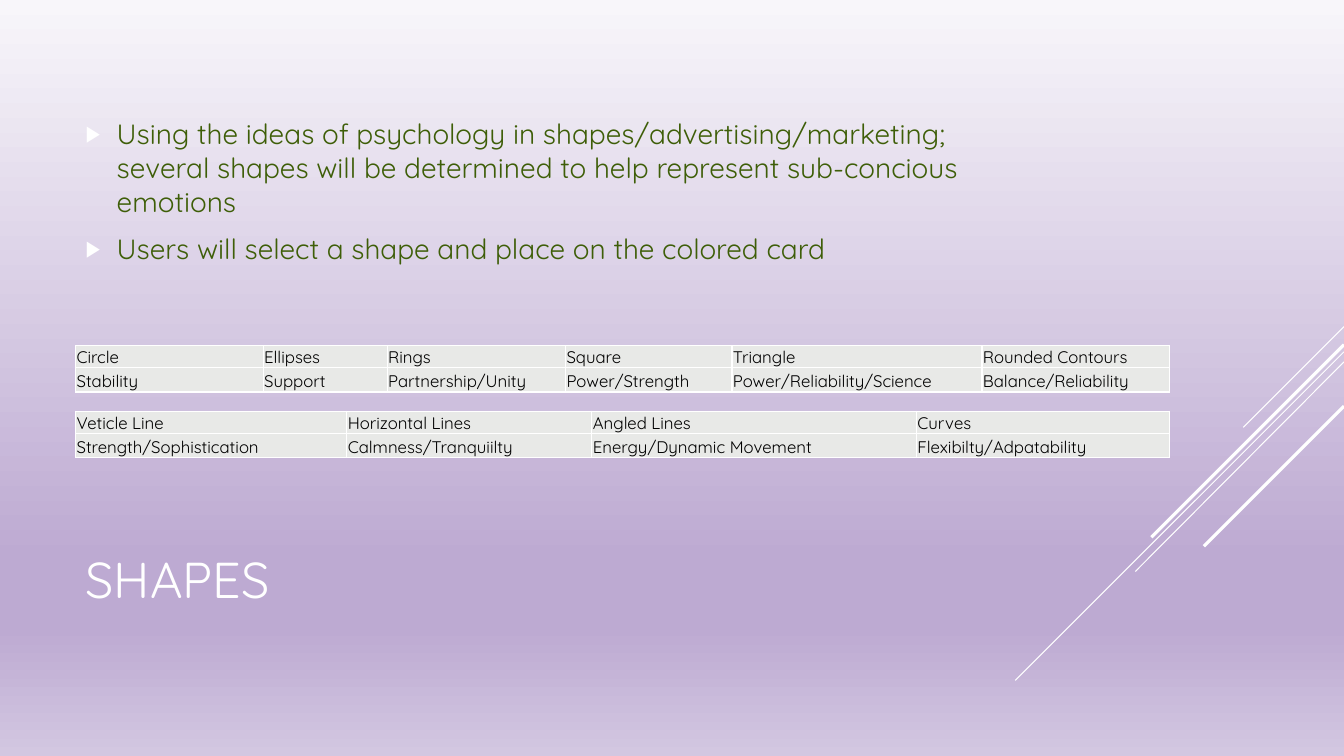
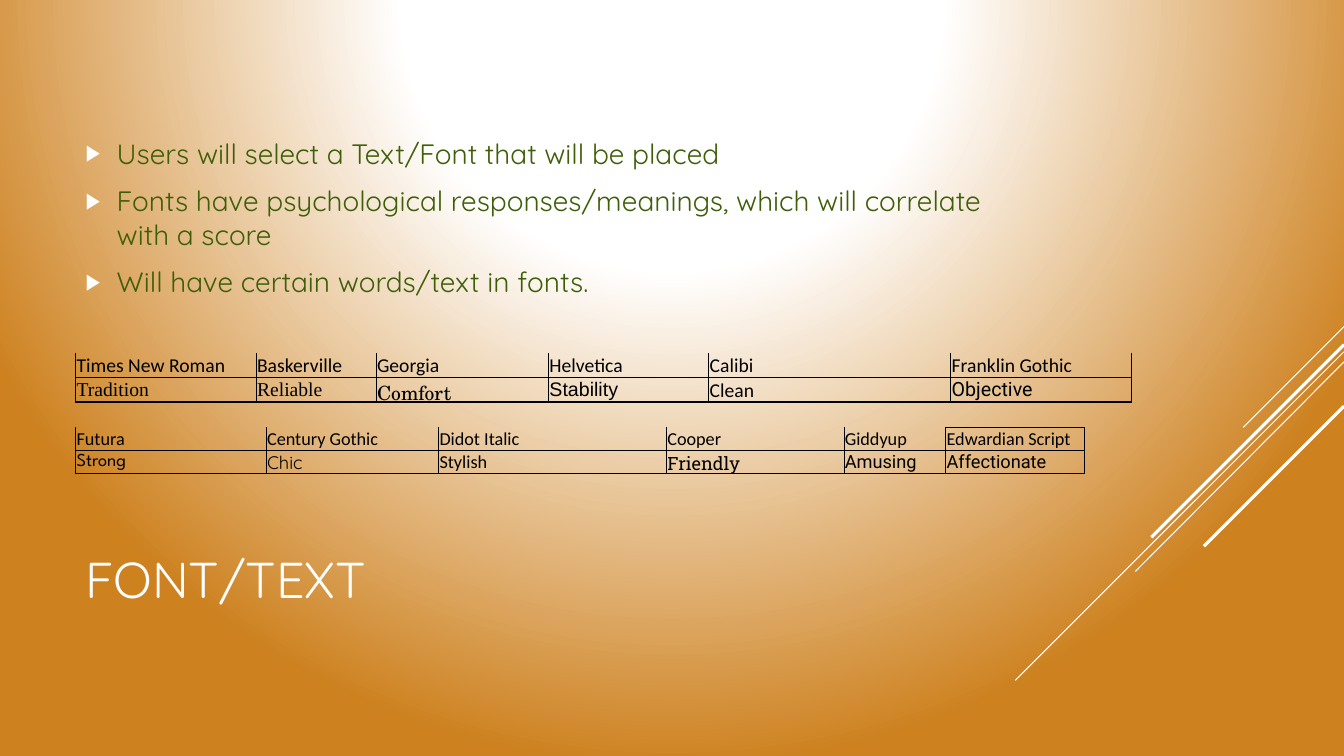
from pptx import Presentation
from pptx.dml.color import RGBColor
from pptx.enum.shapes import MSO_CONNECTOR
from pptx.enum.text import MSO_ANCHOR
from pptx.oxml import parse_xml
from pptx.oxml.ns import nsdecls
from pptx.util import Inches, Pt
from lxml.etree import SubElement

WHITE = RGBColor(0xFF, 0xFF, 0xFF)
BLACK = RGBColor(0x00, 0x00, 0x00)
GREEN = RGBColor(0x3E, 0x5E, 0x08)
CELL_GREY = RGBColor(0xE8, 0xE9, 0xE7)
PALE_LILAC = RGBColor(0xF8, 0xF6, 0xFA)
LILAC = RGBColor(0xBD, 0xAA, 0xD2)
SOFT_LILAC = RGBColor(0xD3, 0xC7, 0xE1)
ORANGE = RGBColor(0xCD, 0x81, 0x1F)

MAIN_FONT = "Quicksand"
LEFT = 0.75
TEXT_WIDTH = 9.33
SLIDE_WIDTH = 13.33
NO_TABLE_STYLE = "{2D5ABB26-0587-4C30-8999-92F81FD0307C}"

# Diagonal lines from the right edge: start y, end x, end y, width in points
DIAGONALS = [
    (3.24, 12.33, 4.24, 0.75),
    (3.49, 10.07, 6.75, 0.75),
    (3.59, 11.26, 5.67, 0.75),
    (3.42, 11.42, 5.33, 2.25),
    (4.03, 11.94, 5.42, 2.25),
]

BULLET_XML = [
    f'<a:buClr {nsdecls("a")}><a:srgbClr val="{WHITE}"/></a:buClr>',
    f'<a:buSzPct {nsdecls("a")} val="80000"/>',
    f'<a:buFont {nsdecls("a")} typeface="Arial"/>',
    f'<a:buChar {nsdecls("a")} char="\u25b6"/>',
]

# Column edges are line widths from left to right; 0 means no line
SLIDES = [
    {
        "title": "SHAPES",
        "stops": [(0, PALE_LILAC), (74, LILAC), (83, LILAC), (100, SOFT_LILAC)],
        "direction": '<a:lin ang="5400000" scaled="0"/>',
        "body_top": 0.72,
        "body_height": 2.35,
        "bullets": [
            "Using the ideas of psychology in shapes/advertising/marketing; "
            "several shapes will be determined to help represent sub-concious emotions",
            "Users will select a shape and place on the colored card",
        ],
        "fill": CELL_GREY,
        "border": WHITE,
        "middle_edge": 1,
        "anchors": [MSO_ANCHOR.BOTTOM, MSO_ANCHOR.BOTTOM],
        "row_heights": [0.22, 0.24],
        "tables": [
            {
                "top": 4.08,
                "columns": [2.69, 2.43, 3.22, 2.51],
                "rows": [
                    ["Veticle Line", "Horizontal Lines", "Angled Lines", "Curves"],
                    ["Strength/Sophistication", "Calmness/Tranquiilty",
                     "Energy/Dynamic Movement", "Flexibilty/Adpatability"],
                ],
                "size": 12,
                "fonts": [[MAIN_FONT] * 4] * 2,
                "column_edges": [1] * 5,
                "top_edges": [1] * 4,
            },
            {
                "top": 3.43,
                "columns": [1.86, 1.23, 1.77, 1.65, 2.48, 1.86],
                "rows": [
                    ["Circle", "Ellipses", "Rings", "Square", "Triangle",
                     "Rounded Contours"],
                    ["Stability", "Support", "Partnership/Unity", "Power/Strength",
                     "Power/Reliability/Science", "Balance/Reliability"],
                ],
                "size": 12,
                "fonts": [[MAIN_FONT] * 6] * 2,
                "column_edges": [1] * 7,
                "top_edges": [1] * 6,
            },
        ],
    },
    {
        "title": "FONT/TEXT",
        "stops": [(0, WHITE), (35, WHITE), (100, ORANGE)],
        "direction": '<a:path path="circle"><a:fillToRect l="50000" t="-80000" '
                     'r="50000" b="180000"/></a:path>',
        "body_top": 0.18,
        "body_height": 3.95,
        "bullets": [
            "Users will select a Text/Font that will be placed",
            "Fonts have psychological responses/meanings, which will correlate "
            "with a score",
            "Will have certain words/text in fonts.",
        ],
        "fill": None,
        "border": BLACK,
        "middle_edge": 0.5,
        "anchors": [MSO_ANCHOR.BOTTOM, MSO_ANCHOR.MIDDLE],
        "row_heights": [0.22, 0.22],
        "tables": [
            {
                "top": 3.5,
                "columns": [1.79, 1.19, 1.71, 1.59, 2.4, 1.79],
                "rows": [
                    ["Times New Roman", "Baskerville", "Georgia", "Helvetica",
                     "Calibi", "Franklin Gothic"],
                    ["Tradition", "Reliable", "Comfort", "Stability", "Clean",
                     "Objective"],
                ],
                "size": 14,
                "fonts": [
                    ["Calibri"] * 6,
                    ["Times New Roman", "Times New Roman", "TeX Gyre Schola",
                     "Arial", "Calibri", "Roboto"],
                ],
                "column_edges": [1, 0.5, 0.5, 1, 0.5, 0.5, 1],
                "top_edges": [0] * 6,
            },
            {
                "top": 4.24,
                "columns": [1.89, 1.71, 2.26, 1.76, 1.01, 1.38],
                "rows": [
                    ["Futura", "Century Gothic", "Didot Italic", "Cooper",
                     "Giddyup", "Edwardian Script"],
                    ["Strong", "Chic", "Stylish", "Friendly", "Amusing",
                     "Affectionate"],
                ],
                "size": 13,
                "fonts": [
                    ["Calibri"] * 6,
                    ["League Spartan", MAIN_FONT, "Calibri", "Roboto Slab",
                     "Roboto", "Roboto"],
                ],
                "column_edges": [1, 0.5, 0.5, 1, 0.5, 1, 0.5],
                "top_edges": [0] * 5 + [1],
            },
        ],
    },
]


def add_text(slide, top, height, lines, size, color):
    """Add a vertically centred text box and return its paragraphs."""
    box = slide.shapes.add_textbox(
        Inches(LEFT), Inches(top), Inches(TEXT_WIDTH), Inches(height))
    frame = box.text_frame
    frame.word_wrap = True
    frame.vertical_anchor = MSO_ANCHOR.MIDDLE
    frame.text = "\n".join(lines)
    for paragraph in frame.paragraphs:
        font = paragraph.runs[0].font
        font.name, font.size, font.color.rgb = MAIN_FONT, Pt(size), color
    return frame.paragraphs


def set_borders(cell, widths, color):
    """Draw the left, right, top and bottom borders of a cell."""
    properties = cell._tc.get_or_add_tcPr()
    for index, (side, width) in enumerate(zip("LRTB", widths)):
        paint = (f'<a:solidFill><a:srgbClr val="{color}"/></a:solidFill>'
                 if width else "<a:noFill/>")
        properties.insert(index, parse_xml(
            f'<a:ln{side} {nsdecls("a")} w="{Pt(width)}">{paint}</a:ln{side}>'))


presentation = Presentation()
presentation.slide_width = Inches(SLIDE_WIDTH)
presentation.slide_height = Inches(7.5)

for content in SLIDES:
    slide = presentation.slides.add_slide(presentation.slide_layouts[6])

    stops = "".join(
        f'<a:gs pos="{position * 1000}"><a:srgbClr val="{color}"/></a:gs>'
        for position, color in content["stops"])
    slide.element.cSld.insert(0, parse_xml(
        f'<p:bg {nsdecls("p", "a")}><p:bgPr><a:gradFill rotWithShape="1">'
        f'<a:gsLst>{stops}</a:gsLst>{content["direction"]}</a:gradFill>'
        '<a:effectLst/></p:bgPr></p:bg>'))

    for start_y, end_x, end_y, width in DIAGONALS:
        diagonal = slide.shapes.add_connector(
            MSO_CONNECTOR.STRAIGHT, Inches(SLIDE_WIDTH), Inches(start_y),
            Inches(end_x), Inches(end_y))
        diagonal.line.color.rgb = WHITE
        diagonal.line.width = Pt(width)
        SubElement(diagonal._element.spPr,
                   "{http://schemas.openxmlformats.org/drawingml/2006/main}effectLst")

    add_text(slide, 4.91, 1.65, [content["title"]], 36, WHITE)

    bullets = add_text(slide, content["body_top"], content["body_height"],
                       content["bullets"], 20, GREEN)
    for paragraph in bullets:
        paragraph.space_before = Pt(4)
        paragraph.space_after = Pt(6)
        properties = paragraph._p.get_or_add_pPr()
        properties.set("marL", str(Inches(0.31)))
        properties.set("indent", str(-Inches(0.31)))
        for xml in BULLET_XML:
            properties.append(parse_xml(xml))

    for data in content["tables"]:
        columns, heights = data["columns"], content["row_heights"]
        frame = slide.shapes.add_table(
            2, len(columns), Inches(LEFT), Inches(data["top"]),
            Inches(sum(columns)), Inches(sum(heights)))
        table = frame.table
        table.first_row = False
        table.horz_banding = False
        table._tbl.tblPr[0].text = NO_TABLE_STYLE
        for column, width in zip(table.columns, columns):
            column.width = Inches(width)

        for row_index, texts in enumerate(data["rows"]):
            table.rows[row_index].height = Inches(heights[row_index])
            for column_index, text in enumerate(texts):
                cell = table.cell(row_index, column_index)
                cell.margin_left = cell.margin_right = cell.margin_top = Inches(0.01)
                cell.margin_bottom = 0
                cell.vertical_anchor = content["anchors"][row_index]
                cell.text_frame.text = text
                font = cell.text_frame.paragraphs[0].runs[0].font
                font.name = data["fonts"][row_index][column_index]
                font.size = Pt(data["size"])
                font.color.rgb = BLACK
                if content["fill"] is None:
                    cell.fill.background()
                else:
                    cell.fill.solid()
                    cell.fill.fore_color.rgb = content["fill"]
                levels = [data["top_edges"][column_index], content["middle_edge"], 1]
                sides = data["column_edges"][column_index:column_index + 2]
                set_borders(cell, sides + levels[row_index:row_index + 2],
                            content["border"])

presentation.save("out.pptx")
